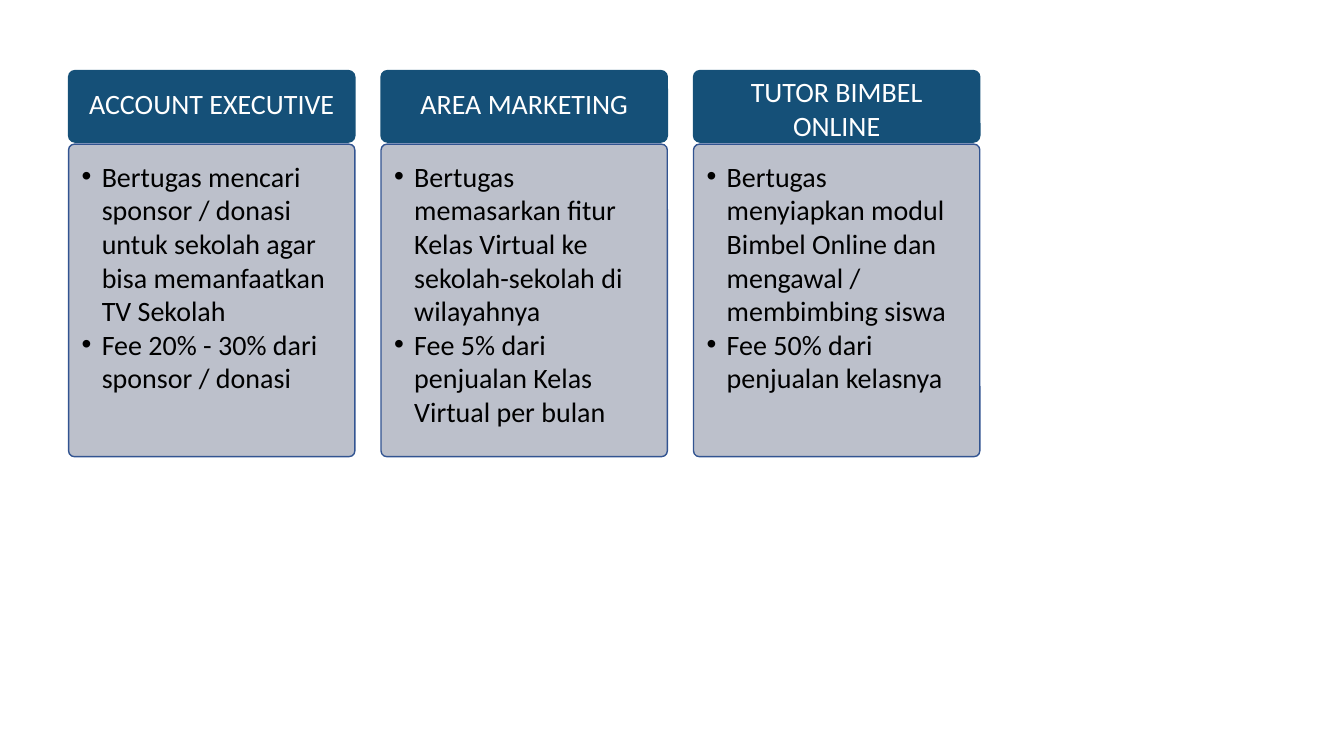
import pptx
import pptx.dml.color
import pptx.enum.shapes
import pptx.enum.text
import pptx.util
from lxml import etree

Pt = pptx.util.Pt
COLORS = {"header": "155078", "body": "BCC0CB", "border": "325491",
          "white": "FFFFFF", "black": "000000"}
FONT = "Calibri"
LINE_HEIGHT = 24.2
INSET = 7.2  # total top and bottom margin of a text box

# Column grid
LEFT, PITCH, WIDTH = 49, 223.2, 204.5
HEADER_TOP, HEADER_HEIGHT = 50.4, 51.1
BODY_TOP, BODY_HEIGHT = 103, 223.2
TEXT_PAD, BULLETS_TOP = 2.2, 110.2

# Heading, its top and line count, bullets and their line count
ROLES = [
    ("ACCOUNT EXECUTIVE", 58.3, 1,
     ["Bertugas mencari sponsor / donasi untuk sekolah agar bisa memanfaatkan TV Sekolah",
      "Fee 20% - 30% dari sponsor / donasi"], 7),
    ("AREA MARKETING", 58.3, 1,
     ["Bertugas memasarkan fitur Kelas Virtual ke sekolah-sekolah di wilayahnya",
      "Fee 5% dari penjualan Kelas Virtual per bulan"], 8),
    ("TUTOR BIMBEL ONLINE", 49.7, 2,
     ["Bertugas menyiapkan modul Bimbel Online dan mengawal / membimbing siswa",
      "Fee 50% dari penjualan kelasnya"], 7),
]


def rgb(name):
    return pptx.dml.color.RGBColor.from_string(COLORS[name])


def write(p, text, size=20, color="black", align="LEFT", bullet=False):
    p.alignment = getattr(pptx.enum.text.PP_ALIGN, align)
    r = p.add_run()
    r.text = text
    r.font.name, r.font.size = FONT, Pt(size)
    r.font.color.rgb = rgb(color)
    if bullet:
        pPr = p._p.get_or_add_pPr()
        pPr.set("marL", str(Pt(14.4)))
        pPr.set("indent", str(-Pt(14.4)))
        ns = pptx.oxml.ns.qn
        etree.SubElement(pPr, ns("a:buFont"), typeface="Arial")
        etree.SubElement(pPr, ns("a:buChar"), char="•")


class Board:
    def __init__(self, prs):
        self.s = prs.slides.add_slide(prs.slide_layouts[6])

    def panel(self, x, y, w, h, fill, line, radius):
        kind = pptx.enum.shapes.MSO_SHAPE.ROUNDED_RECTANGLE
        sp = self.s.shapes.add_shape(kind, Pt(x), Pt(y), Pt(w), Pt(h))
        sp.adjustments[0] = radius
        sp.shadow.inherit = False
        sp.fill.solid()
        sp.fill.fore_color.rgb = rgb(fill)
        sp.line.color.rgb = rgb(line)
        sp.line.width = Pt(1)

    def text(self, x, y, w, lines, paragraphs, **style):
        h = INSET + LINE_HEIGHT * lines
        tf = self.s.shapes.add_textbox(Pt(x), Pt(y), Pt(w), Pt(h)).text_frame
        tf.word_wrap = True
        tf.auto_size = pptx.enum.text.MSO_AUTO_SIZE.SHAPE_TO_FIT_TEXT
        for i, text in enumerate(paragraphs):
            p = tf.add_paragraph() if i else tf.paragraphs[0]
            write(p, text, **style)


def main():
    prs = pptx.Presentation()
    prs.slide_width, prs.slide_height = Pt(960), Pt(540)
    board = Board(prs)

    for i, (heading, top, heading_lines, bullets, bullet_lines) in enumerate(ROLES):
        x = LEFT + i * PITCH
        text_x, text_w = x + TEXT_PAD, WIDTH - 2 * TEXT_PAD
        # Header and body panels
        board.panel(x, HEADER_TOP, WIDTH, HEADER_HEIGHT, "header", "header", 0.09)
        board.panel(x, BODY_TOP, WIDTH, BODY_HEIGHT, "body", "border", 0.02)
        # Heading and bullets
        board.text(text_x, top, text_w, heading_lines, [heading],
                   color="white", align="CENTER")
        board.text(text_x, BULLETS_TOP, text_w, bullet_lines, bullets, bullet=True)

    prs.save("out.pptx")


if __name__ == "__main__":
    main()
